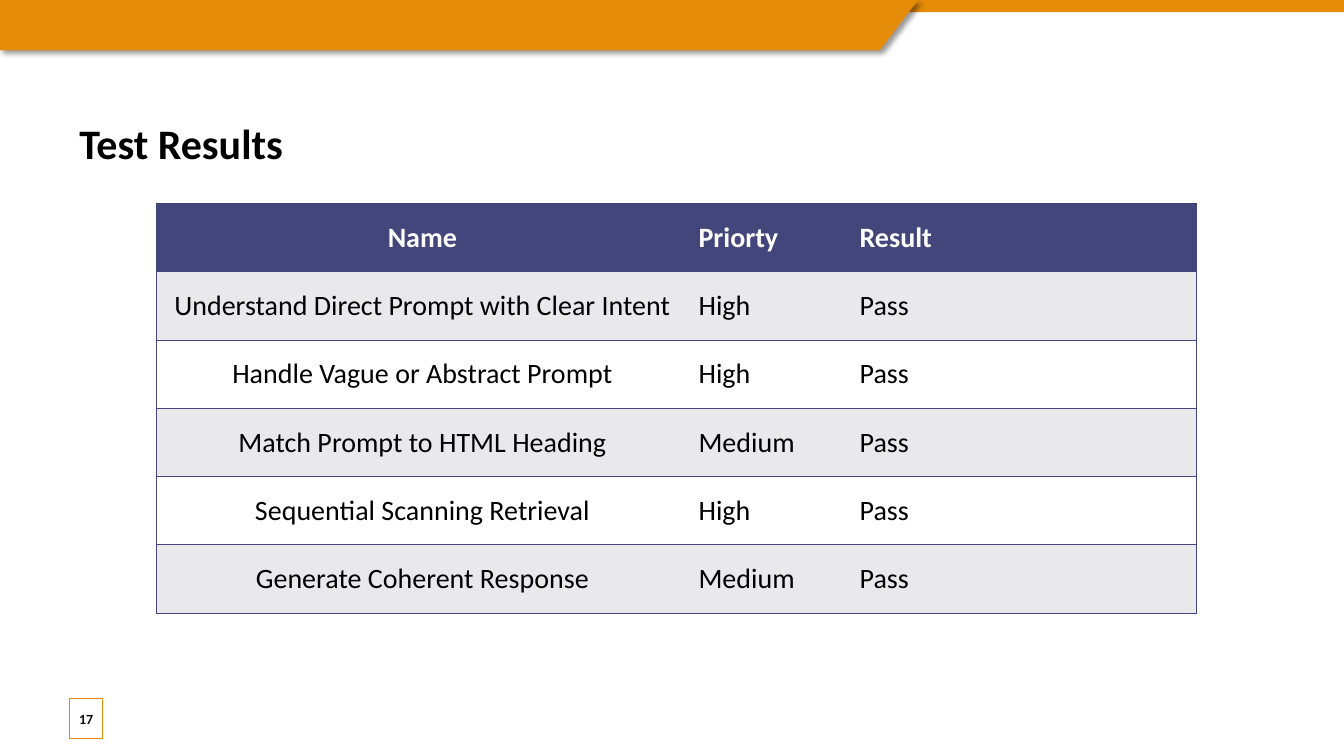
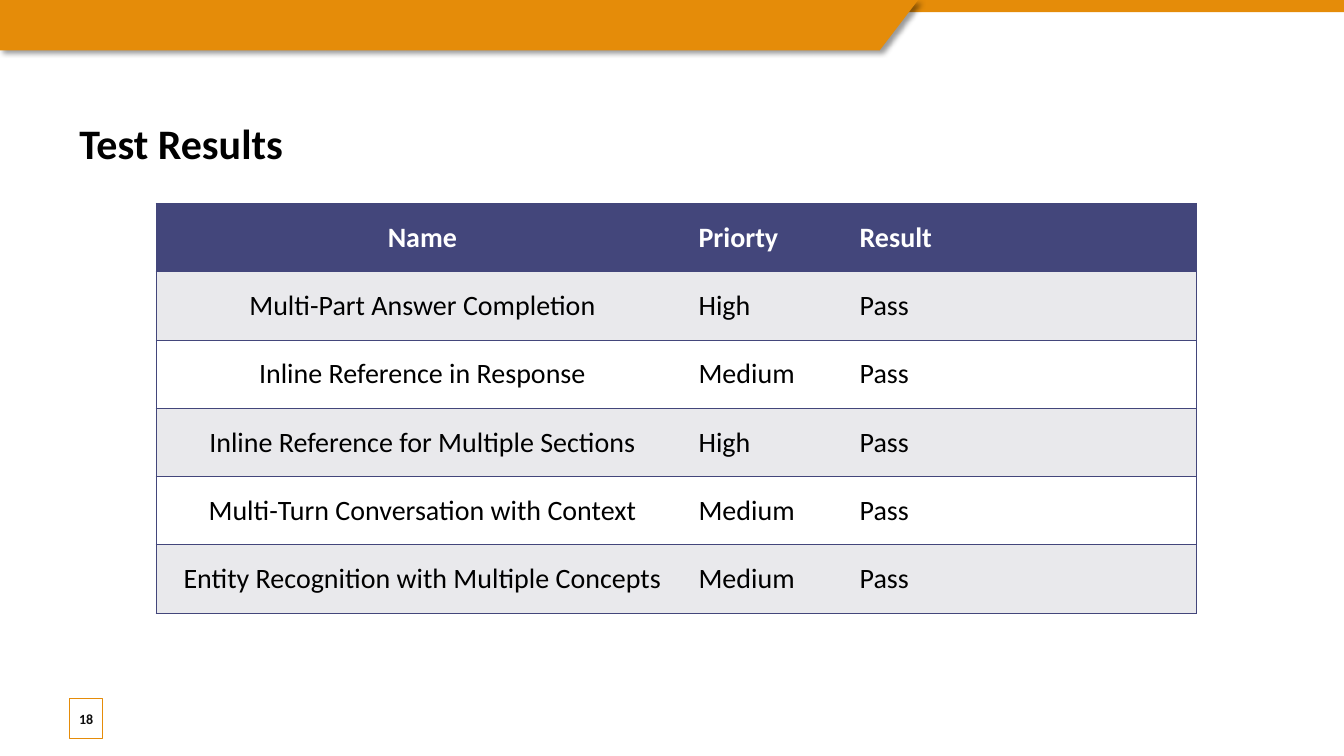
from lxml.etree import SubElement
from pptx import Presentation
from pptx.dml.color import RGBColor
from pptx.enum.shapes import MSO_SHAPE as Preset
from pptx.enum.text import MSO_ANCHOR as Anchor, PP_ALIGN as Align
from pptx.oxml.ns import qn
from pptx.util import Cm, Pt

WIDTH, HEIGHT = 33.87, 19.05
MARGIN = 1.75
ORANGE, NAVY, GREY = "E58C09", "43467B", "E9E9EC"
WHITE, BLACK, NEAR_BLACK = "FFFFFF", "000000", "0D0D0D"
FONT = "Calibri"

HEADINGS = ("Name", "Priorty", "Result")
COLUMN_WIDTHS = (13.41, 4.06, 8.74)
ROW_HEIGHT = 1.72
RESULTS = {
    17: [
        ("Understand Direct Prompt with Clear Intent", "High", "Pass"),
        ("Handle Vague or Abstract Prompt", "High", "Pass"),
        ("Match Prompt to HTML Heading", "Medium", "Pass"),
        ("Sequential Scanning Retrieval", "High", "Pass"),
        ("Generate Coherent Response", "Medium", "Pass"),
    ],
    18: [
        ("Multi-Part Answer Completion", "High", "Pass"),
        ("Inline Reference in Response", "Medium", "Pass"),
        ("Inline Reference for Multiple Sections", "High", "Pass"),
        ("Multi-Turn Conversation with Context", "Medium", "Pass"),
        ("Entity Recognition with Multiple Concepts", "Medium", "Pass"),
    ],
}


def paint(color_format, hex_color):
    color_format.rgb = RGBColor.from_string(hex_color)


def fill_with(part, hex_color):
    part.fill.solid()
    paint(part.fill.fore_color, hex_color)


def write(frame, text, size, color, bold=False, align=Align.LEFT):
    frame.word_wrap = True
    paragraph = frame.paragraphs[0]
    paragraph.text = text
    paragraph.alignment = align
    font = paragraph.font
    font.name, font.size, font.bold = FONT, Pt(size), bold
    paint(font.color, color)


def add_xml(parent, tag, **attributes):
    return SubElement(parent, qn(tag), {k: str(v) for k, v in attributes.items()})


def add_color_xml(parent, hex_color):
    return add_xml(parent, "a:srgbClr", val=hex_color)


def cast_shadow(shape):
    effects = add_xml(shape._element.spPr, "a:effectLst")
    shadow = add_xml(effects, "a:outerShdw", blurRad=Pt(4), dist=Pt(3),
                     dir=45 * 60000, algn="tl", rotWithShape=0)
    add_xml(add_color_xml(shadow, BLACK), "a:alpha", val=40000)


def add_band(slide, left, top, width, height):
    """Thin full-width strip with a slanted, shadowed tab over its left part."""
    strip = slide.shapes.add_shape(Preset.RECTANGLE, Cm(left), Cm(top),
                                   Cm(width), Cm(height * 0.24))
    strip.shadow.inherit = False

    tab_right, slant = left + 23.14, 0.97
    outline = slide.shapes.build_freeform(Cm(left), Cm(top))
    outline.add_line_segments([
        (Cm(tab_right), Cm(top)),
        (Cm(tab_right - slant), Cm(top + height)),
        (Cm(left), Cm(top + height)),
    ])
    tab = outline.convert_to_shape()
    for part in (strip, tab):
        fill_with(part, ORANGE)
        part.line.fill.background()
    cast_shadow(tab)


def add_page_number(slide, number, left, top, width, height):
    badge = slide.shapes.add_shape(Preset.RECTANGLE, Cm(left), Cm(top),
                                   Cm(width), Cm(height))
    badge.shadow.inherit = False
    fill_with(badge, WHITE)
    fill_color = badge._element.spPr.find(qn("a:solidFill"))[0]
    add_xml(fill_color, "a:alpha", val=82000)
    paint(badge.line.color, ORANGE)
    badge.line.width = Pt(0.75)
    frame = badge.text_frame
    frame.margin_left = frame.margin_right = 0
    frame.vertical_anchor = Anchor.MIDDLE
    write(frame, str(number), 10, NEAR_BLACK, bold=True, align=Align.CENTER)


def add_title(slide, text, left, top, width, height):
    title = slide.shapes.add_textbox(Cm(left), Cm(top), Cm(width), Cm(height))
    write(title.text_frame, text, 30, BLACK, bold=True)


def set_borders(cell, visible_sides):
    properties = cell._tc.get_or_add_tcPr()
    for side in "LRTB":
        border = add_xml(properties, f"a:ln{side}", w=Pt(1))
        if side in visible_sides:
            add_color_xml(add_xml(border, "a:solidFill"), NAVY)
        else:
            add_xml(border, "a:noFill")


def add_results_table(slide, results, left, top):
    """Rows ruled across, framed on the outside, with no inner verticals."""
    rows = [HEADINGS, *results]
    table = slide.shapes.add_table(
        len(rows), len(HEADINGS), Cm(left), Cm(top),
        Cm(sum(COLUMN_WIDTHS)), Cm(ROW_HEIGHT * len(rows))).table
    for column, width in zip(table.columns, COLUMN_WIDTHS):
        column.width = Cm(width)
    last = len(HEADINGS) - 1
    for r, texts in enumerate(rows):
        table.rows[r].height = Cm(ROW_HEIGHT)
        heading = r == 0
        background = NAVY if heading else GREY if r % 2 else WHITE
        for c, text in enumerate(texts):
            cell = table.cell(r, c)
            set_borders(cell, "TB" + "L" * (c == 0) + "R" * (c == last))
            fill_with(cell, background)
            cell.vertical_anchor = Anchor.MIDDLE
            write(cell.text_frame, text, 20, WHITE if heading else BLACK,
                  bold=heading, align=Align.LEFT if c else Align.CENTER)


def add_results_slide(deck, number, results):
    slide = deck.slides.add_slide(deck.slide_layouts[6])
    add_band(slide, 0, 0, WIDTH, 1.27)
    add_page_number(slide, number, MARGIN, 17.6, 0.84, 1.02)
    add_results_table(slide, results, 3.94, 5.13)
    add_title(slide, "Test Results", MARGIN, 2.84, 28.4, 1.55)


def main():
    deck = Presentation()
    deck.slide_width, deck.slide_height = Cm(WIDTH), Cm(HEIGHT)
    for number, results in RESULTS.items():
        add_results_slide(deck, number, results)
    deck.save("out.pptx")


if __name__ == "__main__":
    main()
